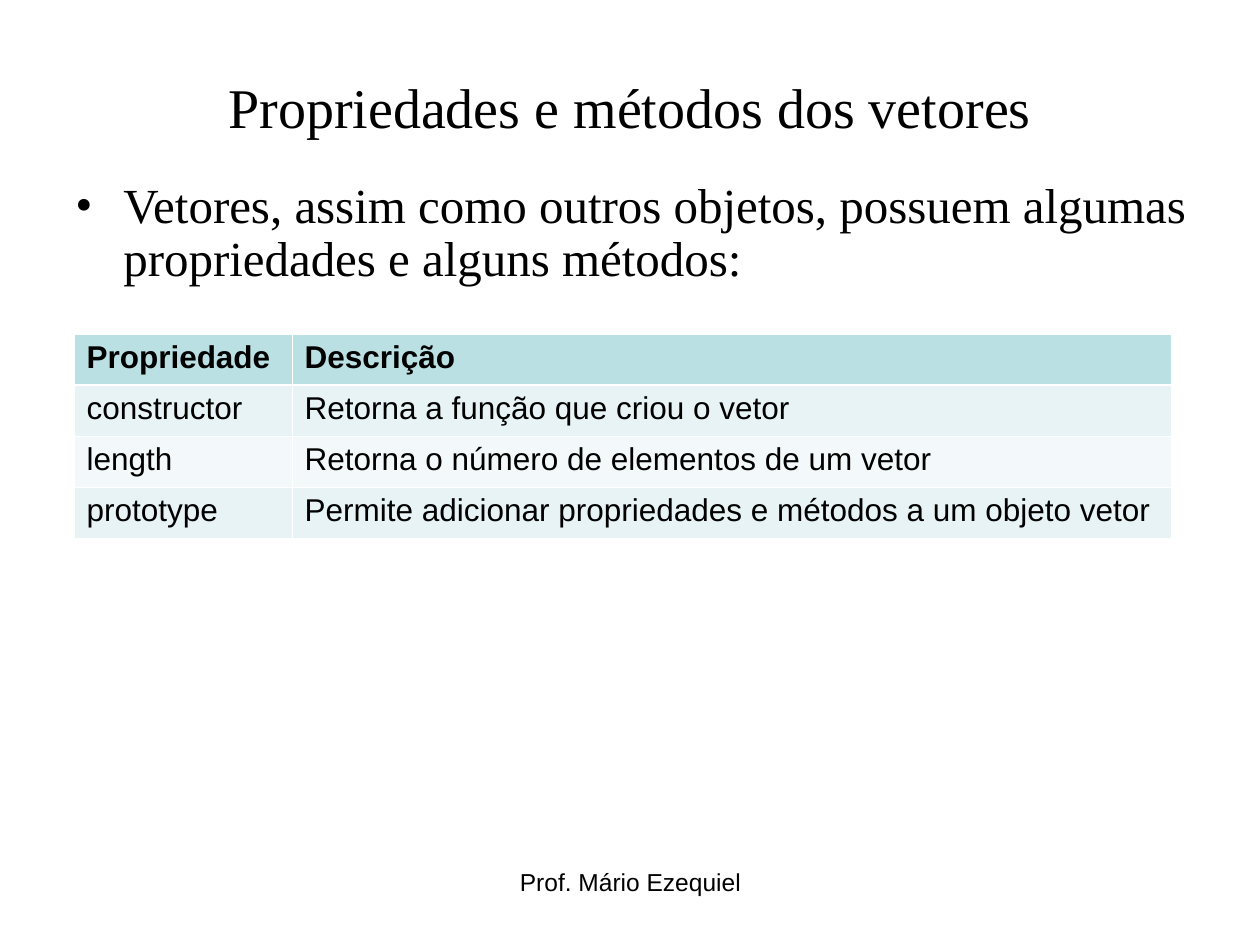
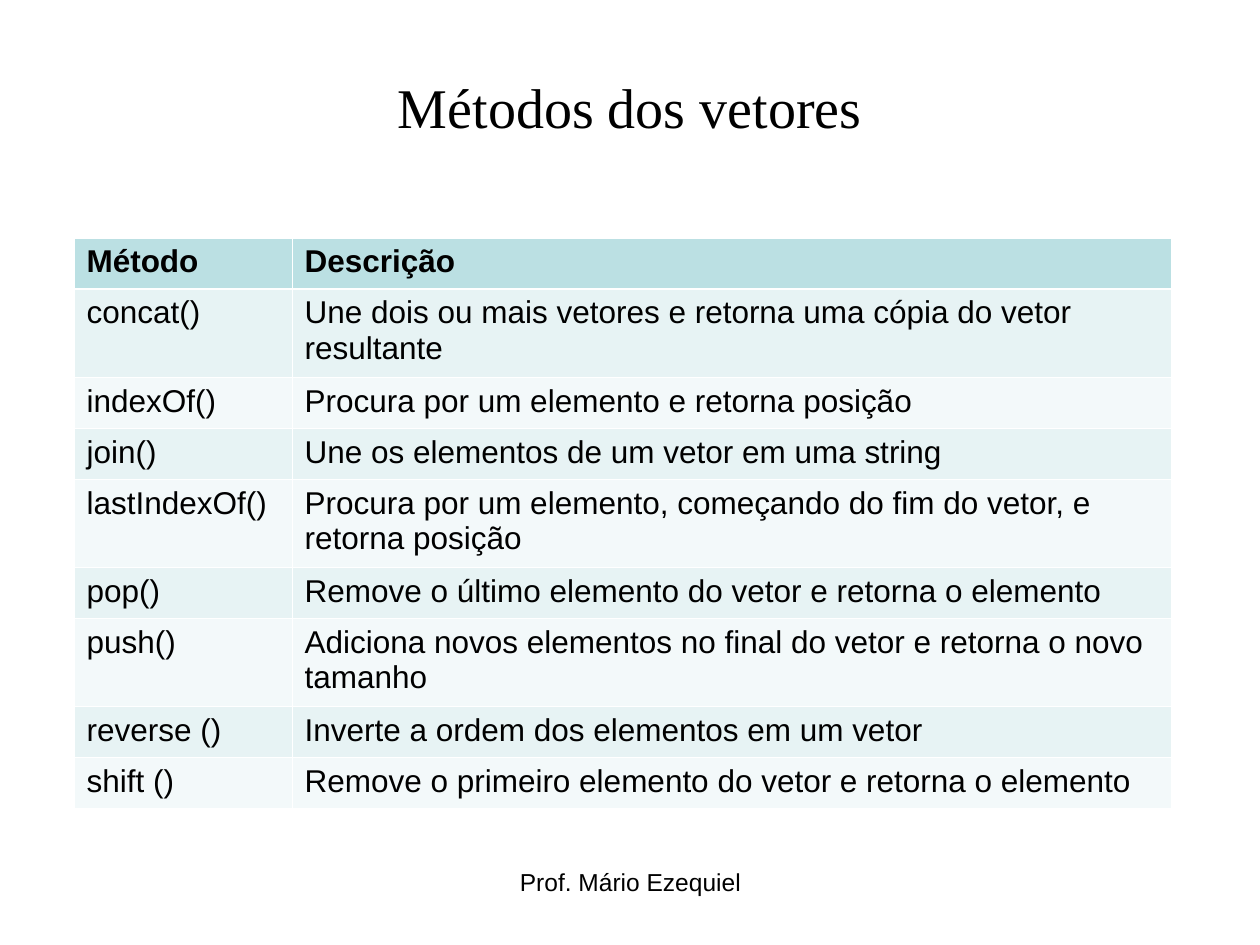
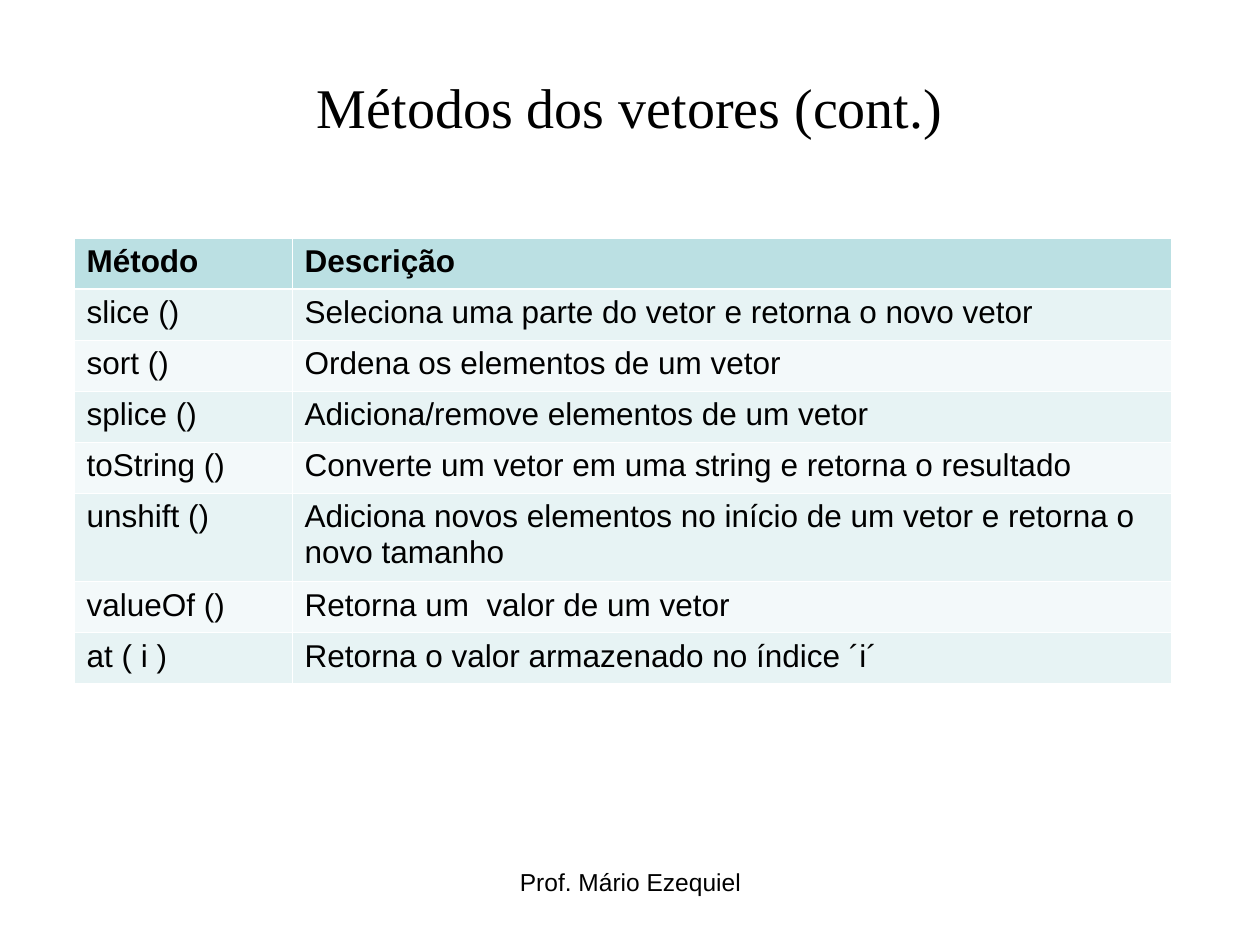
from lxml import etree
from pptx import Presentation
from pptx.dml.color import RGBColor
from pptx.enum.text import MSO_ANCHOR, PP_ALIGN
from pptx.oxml.ns import qn
from pptx.util import Emu, Pt

CENTER = PP_ALIGN.CENTER
LEFT = PP_ALIGN.LEFT
MIDDLE = MSO_ANCHOR.MIDDLE
TOP = MSO_ANCHOR.TOP

PX = 914400 / 126
COLORS = {
    "text": "000000",
    "header": "BBE0E3",
    "odd": "E7F3F4",
    "even": "F3F9FA",
    "rule": "FFFFFF",
}
SERIF = "Times New Roman"
SANS = "Arial"
AUTHOR = "Prof. Mário Ezequiel"

TABLE_LEFT = 74
COLUMN_WIDTHS = [218, 879]
ROW_HEIGHT = 51
TWO_LINE_HEIGHT = 88
LINE_CAPACITY = 60
THIN_RULE = Pt(0.45)
HEADER_RULE = Pt(1.47)

SLIDES = [
    {
        "title": "Propriedades e métodos dos vetores",
        "intro": "Vetores, assim como outros objetos, possuem algumas propriedades e alguns métodos:",
        "table_top": 334,
        "rows": [
            ("Propriedade", "Descrição"),
            ("constructor", "Retorna a função que criou o vetor"),
            ("length", "Retorna o número de elementos de um vetor"),
            ("prototype", "Permite adicionar propriedades e métodos a um objeto vetor"),
        ],
    },
    {
        "title": "Métodos dos vetores",
        "intro": None,
        "table_top": 238,
        "rows": [
            ("Método", "Descrição"),
            ("concat()", "Une dois ou mais vetores e retorna uma cópia do vetor resultante"),
            ("indexOf()", "Procura por um elemento e retorna posição"),
            ("join()", "Une os elementos de um vetor em uma string"),
            ("lastIndexOf()", "Procura por um elemento, começando do fim do vetor, e retorna posição"),
            ("pop()", "Remove o último elemento do vetor e retorna o elemento"),
            ("push()", "Adiciona novos elementos no final do vetor e retorna o novo tamanho"),
            ("reverse ()", "Inverte a ordem dos elementos em um vetor"),
            ("shift ()", "Remove o primeiro elemento do vetor e retorna o elemento"),
        ],
    },
    {
        "title": "Métodos dos vetores (cont.)",
        "intro": None,
        "table_top": 238,
        "rows": [
            ("Método", "Descrição"),
            ("slice ()", "Seleciona uma parte do vetor e retorna o novo vetor"),
            ("sort ()", "Ordena os elementos de um vetor"),
            ("splice ()", "Adiciona/remove elementos de um vetor"),
            ("toString ()", "Converte um vetor em uma string e retorna o resultado"),
            ("unshift ()", "Adiciona novos elementos no início de um vetor e retorna o novo tamanho"),
            ("valueOf ()", "Retorna um  valor de um vetor"),
            ("at ( i )", "Retorna o valor armazenado no índice ´i´"),
        ],
    },
]


def px(length):
    return Emu(round(length * PX))


def add_text(slide, text, box, font_name, size, align, anchor):
    frame = slide.shapes.add_textbox(*map(px, box)).text_frame
    frame.word_wrap = True
    frame.vertical_anchor = anchor
    frame.text = text
    paragraph = frame.paragraphs[0]
    paragraph.alignment = align
    font = paragraph.runs[0].font
    font.name = font_name
    font.size = Pt(size)
    font.color.rgb = RGBColor.from_string(COLORS["text"])
    return paragraph


prs = Presentation()
prs.slide_width = px(1260)
prs.slide_height = px(945)

for content in SLIDES:
    slide = prs.slides.add_slide(prs.slide_layouts[6])
    add_text(slide, AUTHOR, (431, 861, 399, 66), SANS, 14, CENTER, TOP)
    add_text(slide, content["title"], (63, 38, 1134, 137), SERIF, 32, CENTER, MIDDLE)

    if content["intro"]:
        intro = add_text(slide, content["intro"], (63, 175, 1197, 149), SERIF, 28, LEFT, TOP)
        intro.line_spacing = 0.9
        properties = intro._p.get_or_add_pPr()
        properties.set("marL", str(px(48)))
        properties.set("indent", str(-px(48)))
        etree.SubElement(properties, qn("a:buFont"), typeface=SERIF)
        etree.SubElement(properties, qn("a:buChar"), char="•")

    rows = content["rows"]
    heights = [
        TWO_LINE_HEIGHT if len(description) > LINE_CAPACITY else ROW_HEIGHT
        for _, description in rows
    ]
    reference = slide.shapes.add_table(
        len(rows), len(COLUMN_WIDTHS), px(TABLE_LEFT), px(content["table_top"]),
        px(sum(COLUMN_WIDTHS)), px(sum(heights)),
    ).table
    for column, width in zip(reference.columns, COLUMN_WIDTHS):
        column.width = px(width)

    for r, entry in enumerate(rows):
        reference.rows[r].height = px(heights[r])
        band = "header" if r == 0 else "odd" if r % 2 else "even"
        rules = {
            "a:lnL": THIN_RULE,
            "a:lnR": THIN_RULE,
            "a:lnT": HEADER_RULE if r == 1 else THIN_RULE,
            "a:lnB": HEADER_RULE if r == 0 else THIN_RULE,
        }
        for c, text in enumerate(entry):
            cell = reference.cell(r, c)
            cell.text = text
            font = cell.text_frame.paragraphs[0].runs[0].font
            font.name = SANS
            font.size = Pt(18)
            font.bold = r == 0
            font.color.rgb = RGBColor.from_string(COLORS["text"])
            cell_properties = cell._tc.get_or_add_tcPr()
            for side, weight in rules.items():
                rule = etree.SubElement(cell_properties, qn(side), w=str(weight))
                rule_fill = etree.SubElement(rule, qn("a:solidFill"))
                etree.SubElement(rule_fill, qn("a:srgbClr"), val=COLORS["rule"])
            cell.fill.solid()
            cell.fill.fore_color.rgb = RGBColor.from_string(COLORS[band])

prs.save("out.pptx")
